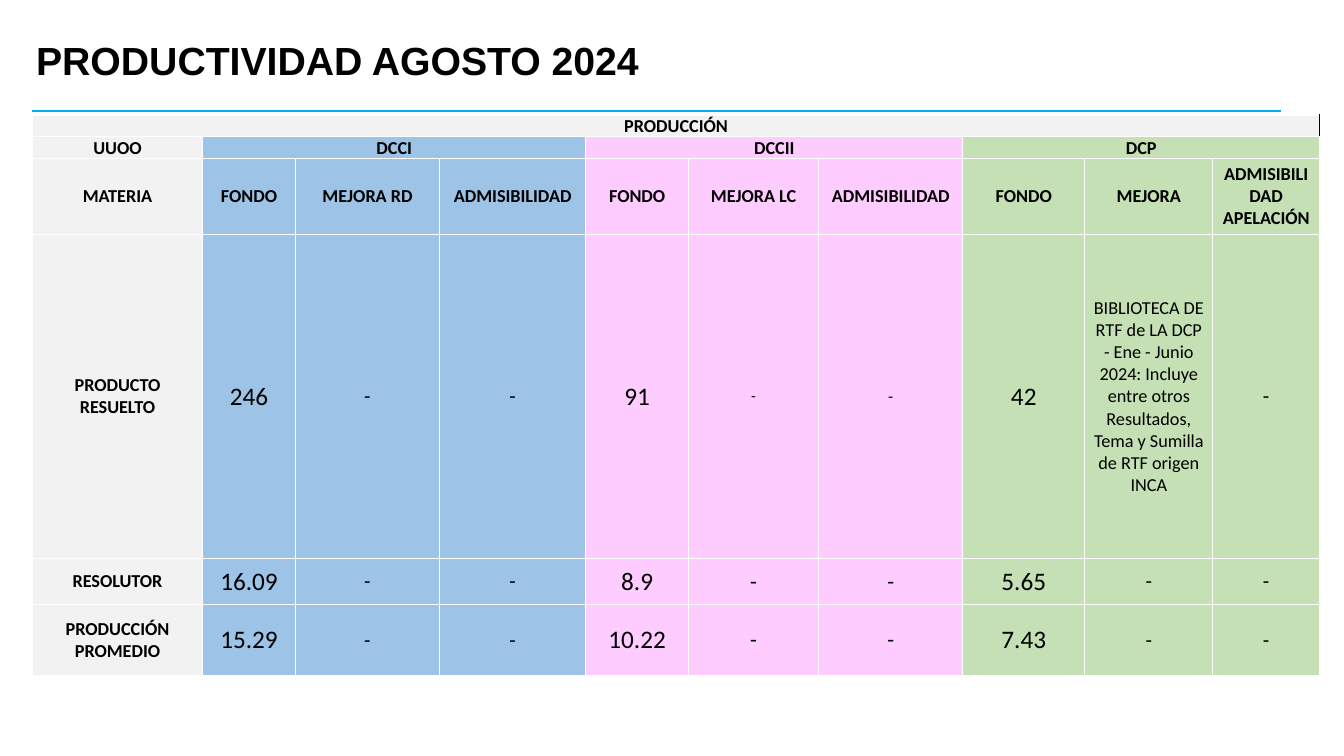
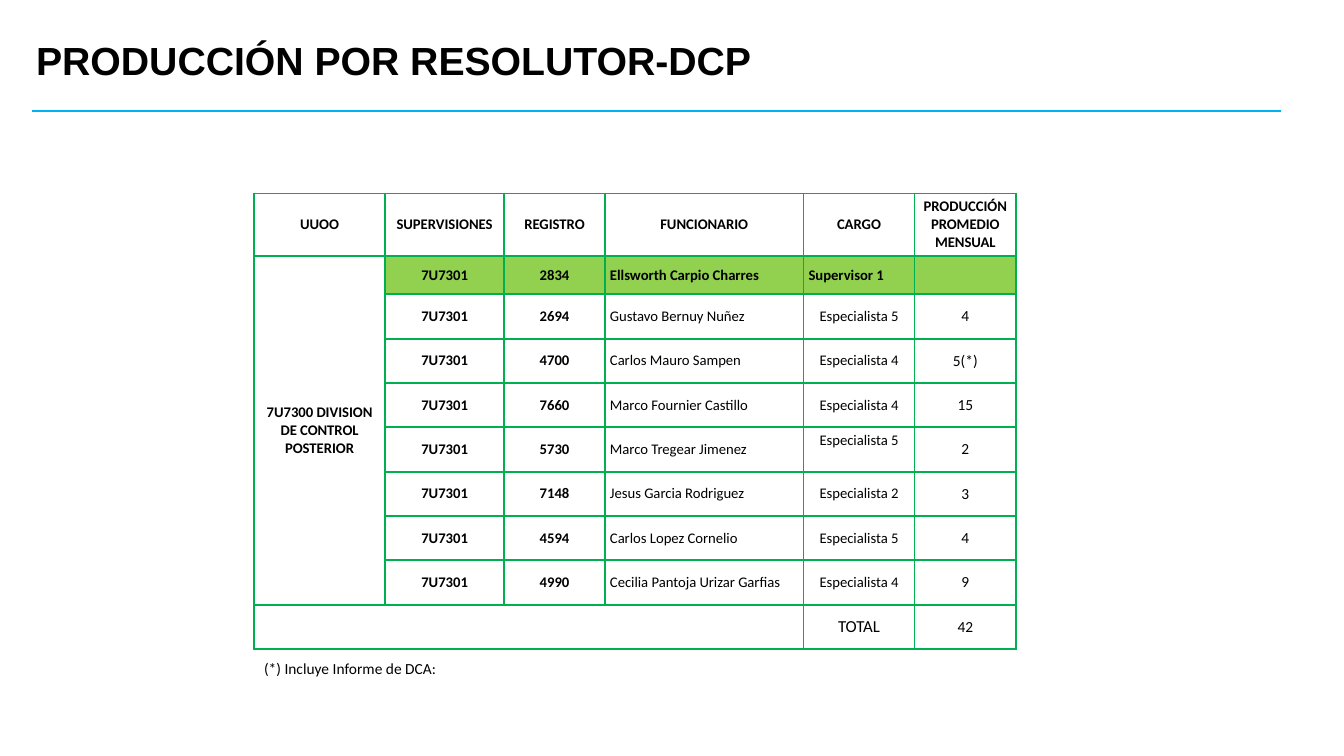
from lxml import etree
from pptx import Presentation
from pptx.dml.color import RGBColor
from pptx.enum.shapes import MSO_CONNECTOR
from pptx.enum.text import MSO_ANCHOR as ANCHOR, PP_ALIGN as ALIGN
from pptx.oxml.ns import qn
from pptx.util import Inches, Pt

BLACK = RGBColor(0x00, 0x00, 0x00)
WHITE = RGBColor(0xFF, 0xFF, 0xFF)
CYAN = RGBColor(0x00, 0xB0, 0xF0)
GREEN = RGBColor(0x00, 0xB0, 0x50)
LIME = RGBColor(0x92, 0xD0, 0x50)
GREY = RGBColor(0xF2, 0xF2, 0xF2)
BLUE = RGBColor(0x9D, 0xC3, 0xE6)
PINK = RGBColor(0xFF, 0xCC, 0xFF)
SAGE = RGBColor(0xC5, 0xE0, 0xB4)

# Content: productivity by unit
UNIT_COLS = [1.69, 0.92, 1.43, 1.45, 1.02, 1.29, 1.43, 1.21, 1.27, 1.06]
UNIT_ROWS = [0.21, 0.21, 0.75, 3.22, 0.45, 0.71]
UNIT_FILLS = [GREY] + [BLUE] * 3 + [PINK] * 3 + [SAGE] * 3
LIBRARY = ("BIBLIOTECA DE RTF de LA DCP - Ene - Junio 2024: Incluye entre otros "
           "Resultados, Tema y Sumilla de RTF origen INCA")
UNIT_DATA = [
    ["PRODUCCIÓN"] + [""] * 9,
    ["UUOO", "DCCI", "", "", "DCCII", "", "", "DCP", "", ""],
    ["MATERIA", "FONDO", "MEJORA RD", "ADMISIBILIDAD", "FONDO", "MEJORA LC",
     "ADMISIBILIDAD", "FONDO", "MEJORA", "ADMISIBILIDAD APELACIÓN"],
    ["PRODUCTO RESUELTO", "246", "-", "-", "91", "-", "-", "42", LIBRARY, "-"],
    ["RESOLUTOR", "16.09", "-", "-", "8.9", "-", "-", "5.65", "-", "-"],
    ["PRODUCCIÓN PROMEDIO", "15.29", "-", "-", "10.22", "-", "-", "7.43", "-", "-"],
]
HEAD_SIZES = [13] * 10
RESULT_SIZES = [13, 18, 15, 15, 18, 16, 16, 18, 15, 15]
PRODUCT_SIZES = [13, 18, 15, 15, 18, 11, 12, 18, 13, 15]
UNIT_SIZES = [HEAD_SIZES] * 3 + [PRODUCT_SIZES] + [RESULT_SIZES] * 2
UNIT_MERGES = [(0, 0, 0, 9), (1, 1, 1, 3), (1, 4, 1, 6), (1, 7, 1, 9)]

# Content: production by officer
STAFF_COLS = [1.3, 1.18, 1, 1.97, 1.1, 1.01]
STAFF_ROWS = [0.62, 0.38] + [0.44] * 8
DIVISION, SECTION = "7U7300 DIVISION DE CONTROL POSTERIOR", "7U7301"
STAFF = [
    ("2834", "Ellsworth Carpio Charres", "Supervisor 1", ""),
    ("2694", "Gustavo Bernuy Nuñez", "Especialista 5", "4"),
    ("4700", "Carlos Mauro Sampen", "Especialista 4", "5(*)"),
    ("7660", "Marco Fournier Castillo", "Especialista 4", "15"),
    ("5730", "Marco Tregear Jimenez", "Especialista 5", "2"),
    ("7148", "Jesus Garcia Rodriguez", "Especialista 2", "3"),
    ("4594", "Carlos Lopez Cornelio", "Especialista 5", "4"),
    ("4990", "Cecilia Pantoja Urizar Garfias", "Especialista 4", "9"),
]
STAFF_DATA = [
    ["UUOO", "SUPERVISIONES", "REGISTRO", "FUNCIONARIO", "CARGO",
     "PRODUCCIÓN PROMEDIO MENSUAL"],
    *[["" if i else DIVISION, SECTION, *person] for i, person in enumerate(STAFF)],
    ["", "", "", "", "TOTAL", "42"],
]
STAFF_MERGES = [(1, 0, 8, 0), (9, 0, 9, 3)]
NOTE = "(*) Incluye Informe de DCA:"


def write(tf, text, size, bold=False, font="Calibri", align=ALIGN.LEFT):
    p = tf.paragraphs[0]
    p.text = text
    p.alignment = align
    # An empty cell keeps its size in the paragraph end mark
    f = p.runs[0].font if text else p.font
    f.size, f.bold, f.name = Pt(size), bold, font
    f.color.rgb = BLACK
    if not text:
        end = etree.SubElement(p._p, qn("a:endParaRPr"))
        end.set("sz", str(int(size * 100)))
    return p


def add_text(s, box, *args, **kwargs):
    tf = s.shapes.add_textbox(*map(Inches, box)).text_frame
    tf.word_wrap = True
    return tf, write(tf, *args, **kwargs)


def new_slide(prs, title):
    s = prs.slides.add_slide(prs.slide_layouts[6])
    line = s.shapes.add_connector(MSO_CONNECTOR.STRAIGHT, Inches(0.32), Inches(1.1),
                                  Inches(12.71), Inches(1.1))
    line.line.color.rgb = CYAN
    line.line.width = Pt(1.5)
    etree.SubElement(line._element.spPr, qn("a:effectLst"))
    tf, p = add_text(s, (0.26, 0.27, 11.5, 0.7), title, 28, True, "Arial")
    tf.vertical_anchor = ANCHOR.MIDDLE
    p.line_spacing = 0.9
    return s


def add_grid(s, left, top, cols, rows, merges):
    shape = s.shapes.add_table(len(rows), len(cols), Inches(left), Inches(top),
                               Inches(sum(cols)), Inches(sum(rows)))
    table = shape.table
    table.first_row = table.horz_banding = False
    for col, width in zip(table.columns, cols):
        col.width = Inches(width)
    for row, height in zip(table.rows, rows):
        row.height = Inches(height)
    for r1, c1, r2, c2 in merges:
        table.cell(r1, c1).merge(table.cell(r2, c2))
    return table


def style_cell(cell, fill, color, width, inset, right=None):
    tcPr = cell._tc.get_or_add_tcPr()
    for side in "LRTB":
        ln = etree.SubElement(tcPr, qn(f"a:ln{side}"), w=str(Pt(width)))
        solid = etree.SubElement(ln, qn("a:solidFill"))
        rgb = right if right and side == "R" else color
        etree.SubElement(solid, qn("a:srgbClr"), val=str(rgb))
    if fill:
        cell.fill.solid()
        cell.fill.fore_color.rgb = fill
    else:
        cell.fill.background()
    cell.vertical_anchor = ANCHOR.MIDDLE
    cell.margin_left = cell.margin_right = Inches(inset)
    cell.margin_top = cell.margin_bottom = 0


def build_units(prs):
    s = new_slide(prs, "PRODUCTIVIDAD AGOSTO 2024")
    table = add_grid(s, 0.32, 1.14, UNIT_COLS, UNIT_ROWS, UNIT_MERGES)
    for r, texts in enumerate(UNIT_DATA):
        for c, text in enumerate(texts):
            cell = table.cell(r, c)
            # The top band closes with a dark edge
            style_cell(cell, UNIT_FILLS[c] if r else GREY, WHITE, 1, 0.07,
                       BLACK if r == 0 and c in (0, 9) else None)
            write(cell.text_frame, text, UNIT_SIZES[r][c], r < 3 or c == 0,
                  align=ALIGN.CENTER)


def build_staff(prs):
    s = new_slide(prs, "PRODUCCIÓN POR RESOLUTOR-DCP")
    table = add_grid(s, 2.52, 1.92, STAFF_COLS, STAFF_ROWS, STAFF_MERGES)
    total = len(STAFF_DATA) - 1
    for r, texts in enumerate(STAFF_DATA):
        for c, text in enumerate(texts):
            cell = table.cell(r, c)
            fill = LIME if r == 1 and c else WHITE if r > 1 and c == 5 else None
            style_cell(cell, fill, GREEN, 1.5, 0.05)
            size = 11 if r and c == 5 else 12 if r == total and c == 4 else 10.5
            left = 0 < r < total and (c == 3 or (r == 1 and c == 4))
            write(cell.text_frame, text, size, r < 2 or c < 3,
                  align=ALIGN.LEFT if left else ALIGN.CENTER)
    # This post sits above the middle of its row
    table.cell(5, 4).margin_bottom = Inches(0.18)
    add_text(s, (2.52, 6.49, 4.32, 0.29), NOTE, 11)


def main():
    prs = Presentation()
    prs.slide_width, prs.slide_height = Inches(13.33), Inches(7.5)
    build_units(prs)
    build_staff(prs)
    prs.save("out.pptx")


if __name__ == "__main__":
    main()
